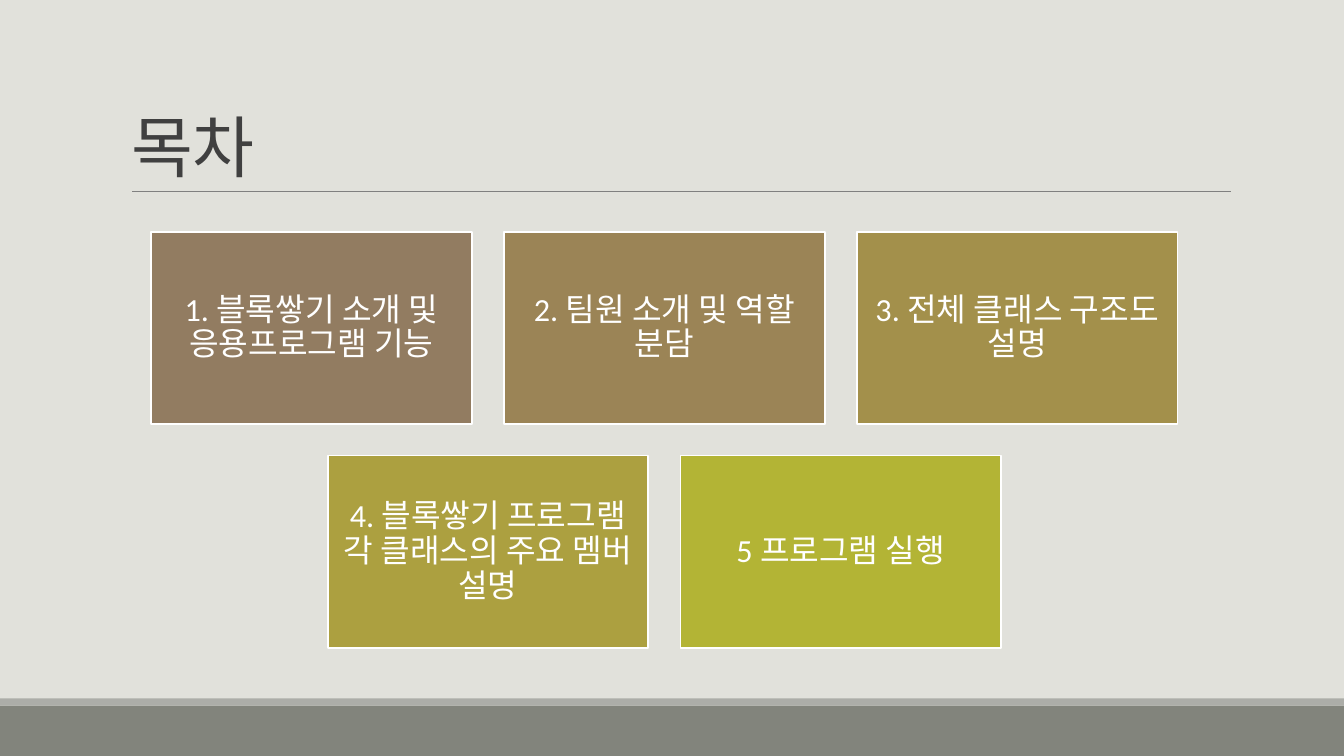
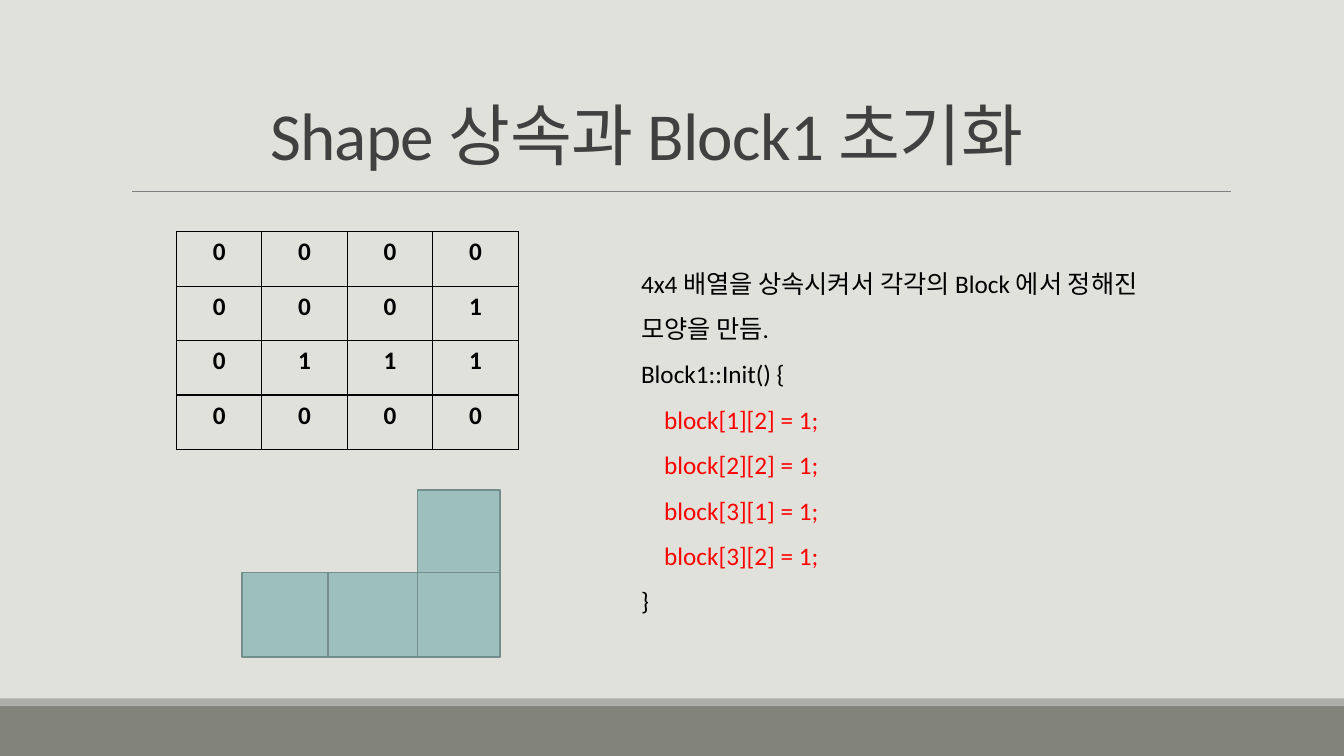
from dataclasses import dataclass

from lxml import etree
from pptx import Presentation
from pptx.dml.color import RGBColor
from pptx.enum import shapes, text
from pptx.oxml import ns
from pptx.util import Inches, Pt


@dataclass(frozen=True)
class Theme:
    font: str = "Calibri"
    background: str = "E1E1DB"
    band: str = "82847C"
    strip: str = "ACADA8"
    rule: str = "808080"
    title: str = "404040"
    body: str = "000000"
    code: str = "FF0000"
    white: str = "FFFFFF"
    block: str = "9DBFBE"
    block_line: str = "748D8D"
    tiles: tuple = ("927C61", "9B8456", "A3904B", "ACA040", "B3B435")
    title_size: int = 48
    tile_size: int = 23
    body_size: int = 18


THEME = Theme()

AGENDA = [
    ["1. 블록쌓기 소개 및 응용프로그램 기능", "2. 팀원 소개 및 역할 분담",
     "3. 전체 클래스 구조도 설명"],
    ["4. 블록쌓기 프로그램 각 클래스의 주요 멤버 설명", "5\u00a0프로그램 실행"],
]
MATRIX = [[0, 0, 0, 0], [0, 0, 0, 1], [0, 1, 1, 1], [0, 0, 0, 0]]
INTRO = "4x4 배열을 상속시켜서 각각의 Block 에서 정해진 모양을 만듬."
ASSIGNMENTS = ["block[1][2] = 1;", "block[2][2] = 1;",
               "block[3][1] = 1;", "block[3][2] = 1;"]


def rgb(color):
    return RGBColor.from_string(color)


def box(left, top, width, height):
    return [Inches(v) for v in (left, top, width, height)]


def style(p, size, color, align=text.PP_ALIGN.LEFT, spacing=None, bold=None):
    p.font.name, p.font.size, p.font.bold = THEME.font, Pt(size), bold
    p.font.color.rgb = rgb(color)
    p.alignment, p.line_spacing = align, spacing


def add_rect(parent, place, fill, line=None):
    sp = parent.add_shape(shapes.MSO_SHAPE.RECTANGLE, *box(*place))
    sp.shadow.inherit = False
    sp.fill.solid()
    sp.fill.fore_color.rgb = rgb(fill)
    if line:
        sp.line.color.rgb = rgb(line)
        sp.line.width = Pt(1.25)
    else:
        sp.line.fill.background()
    return sp


def add_rule(parent, x1, x2, y):
    ln = parent.add_connector(shapes.MSO_CONNECTOR.STRAIGHT,
                              Inches(x1), Inches(y), Inches(x2), Inches(y))
    ln.line.color.rgb = rgb(THEME.rule)
    ln.line.width = Pt(0.5)
    etree.SubElement(ln.element.spPr, ns.qn("a:effectLst"))
    return ln


def decorate_layout(layout, s):
    """Draw the shared bands and rule on a slide, then move them to its layout."""
    fill = layout.slide_master.background.fill
    fill.solid()
    fill.fore_color.rgb = rgb(THEME.background)
    parts = [add_rect(s.shapes, (0, 7, 13.33, 0.5), THEME.band),
             add_rect(s.shapes, (0, 6.93, 13.33, 0.07), THEME.strip),
             add_rule(s.shapes, 1.31, 12.21, 1.9)]
    for part in parts:
        layout.element.cSld.spTree.append(part.element)


def add_title(s, words, left, top):
    title = s.shapes.title
    title.left, title.top, title.width, title.height = box(left, top, 11, 1.59)
    tf = title.text_frame
    tf.text = words
    tf.auto_size = text.MSO_AUTO_SIZE.NONE
    tf.vertical_anchor = text.MSO_ANCHOR.BOTTOM
    p = tf.paragraphs[0]
    style(p, THEME.title_size, THEME.title, spacing=0.85)
    p.runs[0].font._element.set("spc", "-50")


def add_tiles(s, rows):
    width, height, pitch_x, pitch_y, center = 3.18, 1.91, 3.5, 2.22, 6.59
    group = s.shapes.add_group_shape()
    colors = iter(THEME.tiles)
    for i, row in enumerate(rows):
        left = center - ((len(row) - 1) * pitch_x + width) / 2
        for j, words in enumerate(row):
            place = (left + j * pitch_x, 2.3 + i * pitch_y, width, height)
            sp = add_rect(group.shapes, place, next(colors), THEME.white)
            tf = sp.text_frame
            tf.text = words
            tf.word_wrap = True
            tf.margin_left = tf.margin_right = Inches(0.1)
            tf.margin_top = tf.margin_bottom = Inches(0.1)
            tf.vertical_anchor = text.MSO_ANCHOR.MIDDLE
            style(tf.paragraphs[0], THEME.tile_size, THEME.white,
                  text.PP_ALIGN.CENTER, 0.9)


def add_borders(cell):
    tcPr = cell._tc.get_or_add_tcPr()
    for side in ("a:lnL", "a:lnR", "a:lnT", "a:lnB"):
        ln = etree.SubElement(tcPr, ns.qn(side), w=str(Pt(1)))
        fill = etree.SubElement(ln, ns.qn("a:solidFill"))
        etree.SubElement(fill, ns.qn("a:srgbClr"), val=THEME.body)


def add_matrix(s, values):
    frame = s.shapes.add_table(len(values), len(values[0]),
                               *box(1.75, 2.3, 3.39, 2.16))
    table = frame.table
    table.first_row = table.horz_banding = False
    for i, row in enumerate(values):
        for j, value in enumerate(row):
            cell = table.cell(i, j)
            cell.text = str(value)
            add_borders(cell)
            cell.fill.background()
            style(cell.text_frame.paragraphs[0], THEME.body_size, THEME.body,
                  text.PP_ALIGN.CENTER, bold=True)


def add_blocks(s, values):
    """Draw one block for each 1 in the matrix."""
    x_edges = {1: 2.4, 2: 3.25, 3: 4.14, 4: 4.96}
    y_edges = {1: 4.86, 2: 5.68, 3: 6.52}
    group = s.shapes.add_group_shape()
    for i, row in enumerate(values):
        for j, value in enumerate(row):
            if value:
                x, y = x_edges[j], y_edges[i]
                place = (x, y, x_edges[j + 1] - x, y_edges[i + 1] - y)
                add_rect(group.shapes, place, THEME.block, THEME.block_line)


def add_code(s):
    tf = s.shapes.add_textbox(*box(6.26, 2.46, 5.6, 3.69)).text_frame
    tf.word_wrap = True
    tf.auto_size = text.MSO_AUTO_SIZE.SHAPE_TO_FIT_TEXT
    lines = [INTRO, "Block1::Init() {", *ASSIGNMENTS, "}"]
    tf.text = "\n".join(lines)
    for p, line in zip(tf.paragraphs, lines):
        inner = line in ASSIGNMENTS
        style(p, THEME.body_size, THEME.code if inner else THEME.body,
              spacing=1.5)
        if inner:
            p._p.get_or_add_pPr().set("marL", str(Inches(0.23)))


def main():
    prs = Presentation()
    prs.slide_width, prs.slide_height = Inches(13.33), Inches(7.5)
    layout = prs.slide_layouts.get_by_name("Title Only")

    # Contents
    s = prs.slides.add_slide(layout)
    decorate_layout(layout, s)
    add_title(s, "목차", 1.2, 0.31)
    add_tiles(s, AGENDA)

    # Block initialisation
    s = prs.slides.add_slide(layout)
    add_title(s, "Shape 상속과 Block1 초기화", 2.58, 0.19)
    add_code(s)
    add_matrix(s, MATRIX)
    add_blocks(s, MATRIX)

    prs.save("out.pptx")


main()
